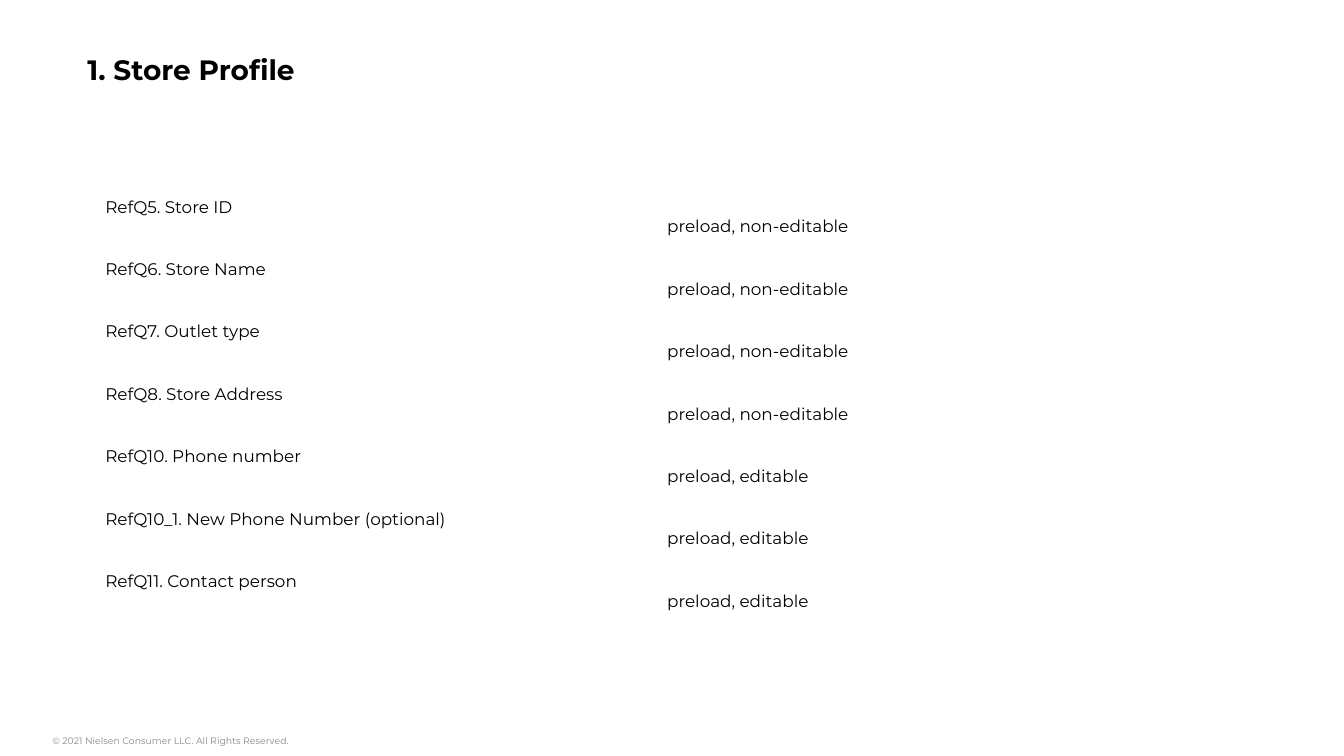
"""Build the Store Profile slide with its table of preloaded fields."""
from pptx import Presentation
from pptx.dml.color import RGBColor
from pptx.enum.text import MSO_ANCHOR, PP_ALIGN
from pptx.util import Cm, Pt

COLORS = {"text": "000000", "footer": "888888"}
FIELDS = [
    ("RefQ5. Store ID", "preload, non-editable"),
    ("RefQ6. Store Name", "preload, non-editable"),
    ("RefQ7. Outlet type", "preload, non-editable"),
    ("RefQ8. Store Address", "preload, non-editable"),
    ("RefQ10. Phone number", "preload, editable"),
    ("RefQ10_1. New Phone Number (optional)", "preload, editable"),
    ("RefQ11. Contact person", "preload, editable"),
]
COLUMN_WIDTHS = [10.62, 5.87]
ROW_HEIGHT = 1.18
ANCHORS = [MSO_ANCHOR.TOP, MSO_ANCHOR.BOTTOM]
CELL_FORMAT = {
    "margin_left": Cm(0.03),
    "margin_right": Cm(0.03),
    "margin_top": Cm(0.03),
    "margin_bottom": Cm(0),
}


def set_format(target, values):
    for name, value in values.items():
        setattr(target, name, value)


def write_text(frame, text, size, color, spacing=1.0, bold=False):
    paragraph = frame.paragraphs[0]
    set_format(paragraph, {"alignment": PP_ALIGN.LEFT, "line_spacing": spacing})
    run = paragraph.add_run()
    run.text = text
    set_format(run.font, {"name": "Montserrat", "size": Pt(size), "bold": bold})
    run.font.color.rgb = RGBColor.from_string(COLORS[color])


presentation = Presentation()
set_format(presentation, {"slide_width": Cm(25.4), "slide_height": Cm(14.29)})
slide = presentation.slides.add_slide(presentation.slide_layouts[5])

copyright_line = slide.shapes.add_textbox(Cm(0.99), Cm(13.79), Cm(14.07), Cm(0.51))
set_format(copyright_line.text_frame, {
    "word_wrap": True, "margin_left": 0, "margin_right": 0,
    "margin_top": Cm(0.13), "margin_bottom": Cm(0.13),
})
write_text(copyright_line.text_frame,
           "© 2021 Nielsen Consumer LLC. All Rights Reserved.", 5, "footer")

title = slide.shapes.title
set_format(title, {"left": Cm(1.65), "top": Cm(0.81),
                   "width": Cm(22.68), "height": Cm(1.09)})
set_format(title.text_frame, {
    "word_wrap": True, "vertical_anchor": MSO_ANCHOR.TOP,
    "margin_left": 0, "margin_right": 0,
    "margin_top": Cm(0.25), "margin_bottom": Cm(0.25),
})
write_text(title.text_frame, "1. Store Profile", 15, "text", 0.9, True)

profile = slide.shapes.add_table(
    len(FIELDS), len(COLUMN_WIDTHS), Cm(1.96), Cm(3.3),
    Cm(sum(COLUMN_WIDTHS)), Cm(ROW_HEIGHT * len(FIELDS))).table
set_format(profile, {"first_row": False, "horz_banding": False})
for column, width in zip(profile.columns, COLUMN_WIDTHS):
    column.width = Cm(width)
for row, field in zip(profile.rows, FIELDS):
    row.height = Cm(ROW_HEIGHT)
    for cell, text, anchor in zip(row.cells, field, ANCHORS):
        set_format(cell, {**CELL_FORMAT, "vertical_anchor": anchor})
        cell.fill.background()
        write_text(cell.text_frame, text, 9, "text", 2.0)

presentation.save("out.pptx")
